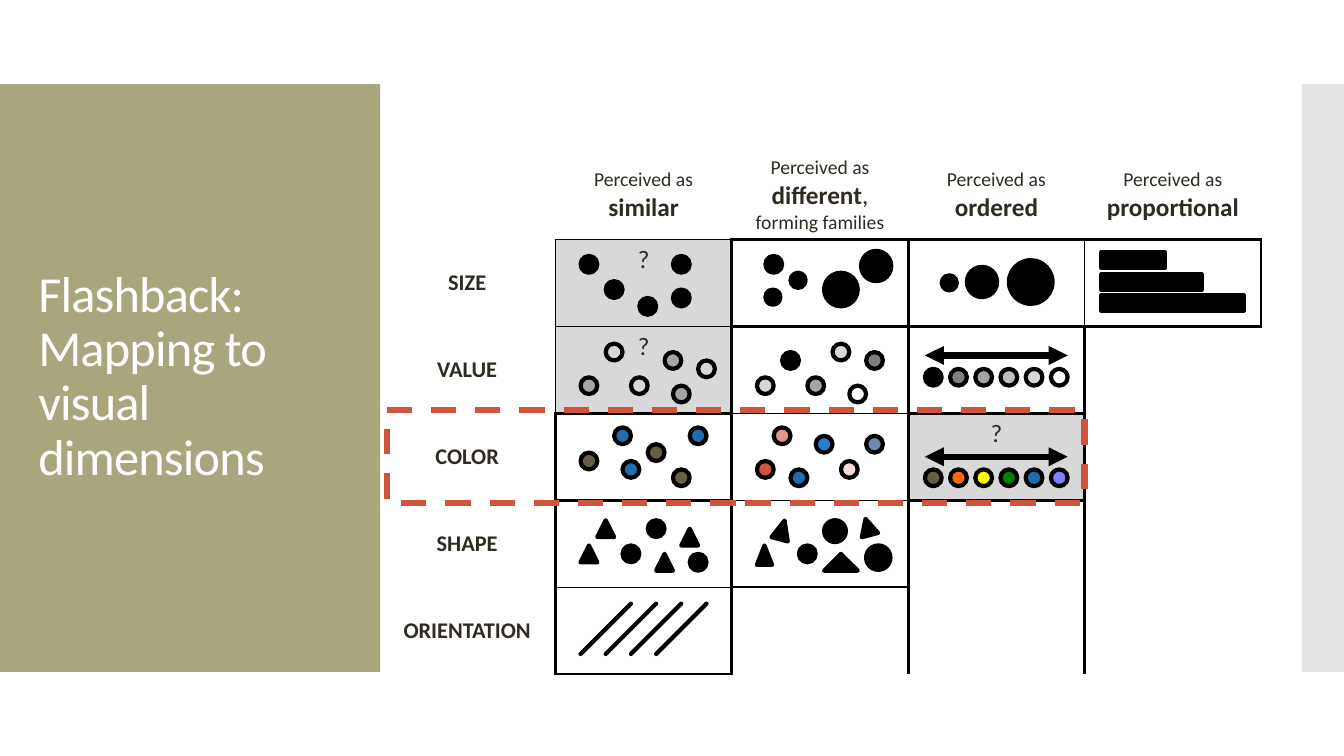
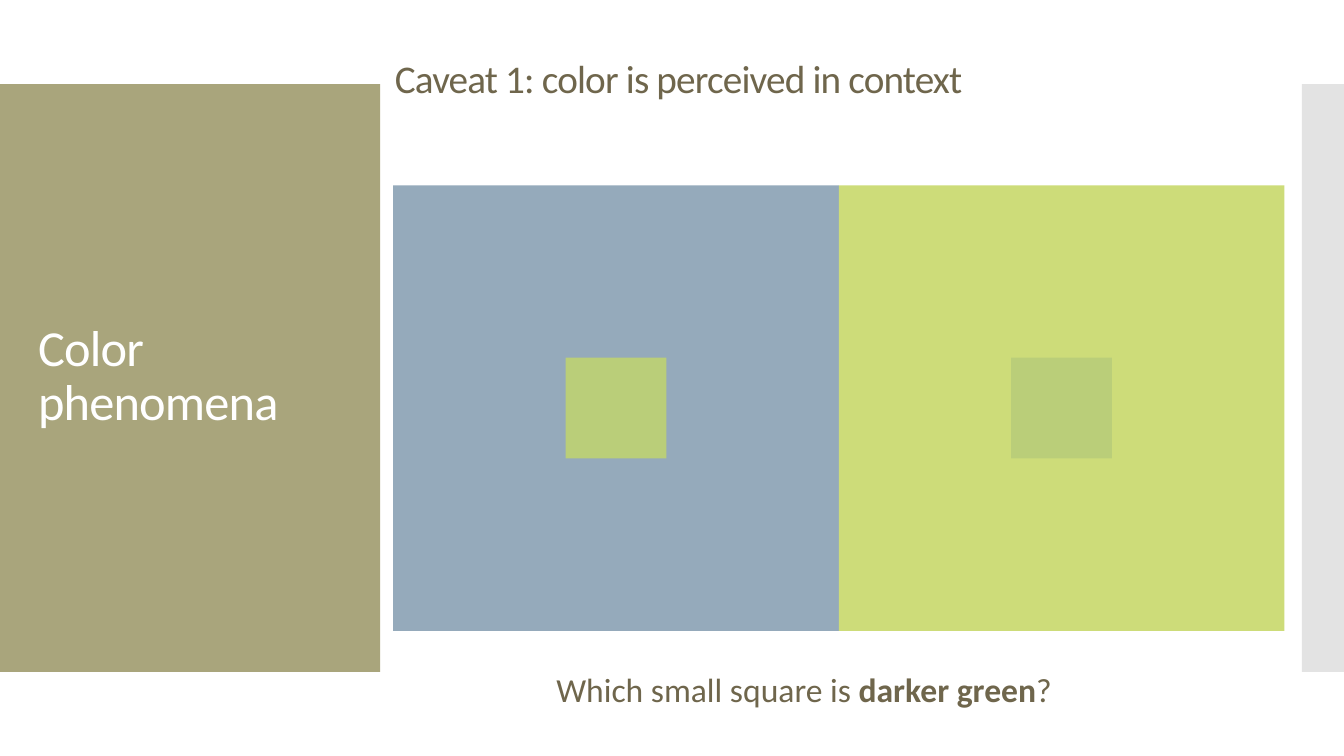
from lxml.etree import SubElement
from pptx import Presentation
from pptx.dml.color import RGBColor
from pptx.enum.dml import MSO_LINE
from pptx.enum.shapes import MSO_CONNECTOR, MSO_SHAPE
from pptx.enum.text import MSO_ANCHOR, MSO_AUTO_SIZE, PP_ALIGN
from pptx.oxml.ns import qn
from pptx.util import Cm, Pt

FONT = "Calibri"
WHITE = RGBColor(0xFF, 0xFF, 0xFF)
BLACK = RGBColor(0, 0, 0)
INK = RGBColor(0x2F, 0x2B, 0x20)
BROWN = RGBColor(0x6F, 0x66, 0x4C)
OLIVE = RGBColor(0xA9, 0xA5, 0x7C)
PALE = RGBColor(0xE3, 0xE3, 0xE3)
SHADE = RGBColor(0xD8, 0xD8, 0xD8)
MID = RGBColor(0xA5, 0xA5, 0xA5)
SILVER = RGBColor(0xBF, 0xBF, 0xBF)
GREY = RGBColor(0x7F, 0x7F, 0x7F)
RED = RGBColor(0xD2, 0x53, 0x3C)
PINK = RGBColor(0xE3, 0x96, 0x89)
BLUSH = RGBColor(0xF5, 0xDB, 0xD7)
BLUE = RGBColor(0x1E, 0x6D, 0xAE)
AZURE = RGBColor(0x23, 0x80, 0xCF)
STEEL = RGBColor(0x6A, 0x8B, 0xAE)
EARTH = RGBColor(0x67, 0x5E, 0x47)
ORANGE = RGBColor(0xFF, 0x66, 0x00)
YELLOW = RGBColor(0xFF, 0xFF, 0x00)
GREEN = RGBColor(0x00, 0x80, 0x00)
VIOLET = RGBColor(0x7F, 0x80, 0xFF)
SLATE = RGBColor(0x95, 0xAA, 0xBB)
LIME = RGBColor(0xCD, 0xDC, 0x79)
MOSS = RGBColor(0xBA, 0xCE, 0x79)

SIDE = (0.71, 3.12, 8.18, 12.78)
UNIT = 2.54 / 12
LEFT = 14.63
SIZE, VALUE, COLOR, SHAPE = 6.45, 8.66, 10.77, 13.11

HEADS = [
    [[("Perceived as ", 14, False), ("similar", 18, True)]],
    [[("Perceived as ", 14, False), ("different", 18, True), (",", 18, False)],
     [("forming families", 14, False)]],
    [[("Perceived as ", 14, False), ("ordered", 18, True)]],
    [[("Perceived as ", 14, False), ("proportional", 18, True)]],
]
NAMES = ["SIZE", "VALUE", "COLOR", "SHAPE", "ORIENTATION"]
DOUBTS = [(1, 1), (2, 1), (3, 3)]
WIDTHS = {"1": 1, "2": 2.25}
UPRIGHT = ["000000", "012211", "012220", "022220", "022220", "022220"]
FLAT = ["00000", "01222", "01222", "02120", "02120", "01200", "02000"]

DISCS = [
    (SIZE, [(0, 0, 2), (3, 3, 2), (7, 5, 2), (11, 0, 2), (11, 4, 2),
            (22, 0, 2), (22, 4, 1.8), (25, 2, 1.8), (29, 2, 4),
            (33.4, -0.6, 3.6), (43, 2.3, 1.8), (46, 1.3, 3.6), (51, 0.5, 5.2)]),
    (SHAPE, [(5, 3, 2), (8, 0, 2), (13, 4, 2), (26, 3, 2),
             (29, 0, 2.6), (34, 3, 2.9)]),
]
PEAKS = [(0, 3, 2, 2, 0), (2, 0, 2, 2, 0), (9, 4, 2, 2, 0), (12, 1, 2, 2, 0),
         (21, 3, 1.8, 2.3, 0), (23, 0, 2, 2.3, 15), (29, 4, 4, 2, 0),
         (33.2, -0.2, 2, 2, -15)]
BARS = [(-0.4, 7.6), (2.2, 12), (4.7, 17)]
RINGS = [
    (VALUE, [(0, 4, MID), (3, 0, SHADE), (6, 4, SHADE), (10, 1, MID),
             (11, 5, MID), (14, 2, SHADE), (21, 4, SHADE), (24, 1, BLACK),
             (27, 4, MID), (30, 0, SHADE), (32, 5, WHITE), (34, 1, GREY)]),
    (COLOR, [(0, 3, EARTH), (4, 0, BLUE), (5, 4, BLUE), (8, 2, EARTH),
             (11, 5, EARTH), (13, 0, BLUE), (21, 4, RED), (23, 0, PINK),
             (25, 5, BLUE), (28, 1, AZURE), (31, 4, BLUSH), (34, 1, STEEL)]),
]
SCALES = [
    (VALUE, 3, 1.4, [BLACK, GREY, MID, SILVER, SHADE, WHITE]),
    (COLOR, 5, 3.5, [EARTH, ORANGE, YELLOW, GREEN, BLUE, VIOLET]),
]


def place(box):
    return [Cm(n) for n in box]


def form(slide, kind, box, fill=None, line=None, width=3):
    item = slide.shapes.add_shape(kind, *place(box))
    item.shadow.inherit = False
    if fill is None:
        item.fill.background()
    else:
        item.fill.solid()
        item.fill.fore_color.rgb = fill
    if line is None:
        item.line.fill.background()
    else:
        item.line.color.rgb = line
        item.line.width = Pt(width)
    return item


def block(slide, box, fill):
    return form(slide, MSO_SHAPE.RECTANGLE, box, fill)


def mark(slide, kind, base, x, y, wide, high, fill=BLACK):
    box = (LEFT + x * UNIT, base + y * UNIT, wide * UNIT, high * UNIT)
    return form(slide, kind, box, fill, BLACK)


def stroke(slide, start, end, width, heads=False):
    line = slide.shapes.add_connector(
        MSO_CONNECTOR.STRAIGHT, *place(start + end))
    line.line.color.rgb = BLACK
    line.line.width = Pt(width)
    props = line.element.spPr
    pen = props.find(qn("a:ln"))
    if heads:
        for tag in ("a:headEnd", "a:tailEnd"):
            SubElement(pen, qn(tag), type="triangle")
    else:
        pen.set("cap", "rnd")
    SubElement(props, qn("a:effectLst"))


def style(font, size, color, bold=False):
    font.name = FONT
    font.size = Pt(size)
    font.bold = bold
    font.color.rgb = color


def write(para, runs, color, align=PP_ALIGN.CENTER):
    para.alignment = align
    if len(runs) == 1:
        text, size, bold = runs[0]
        para.text = text
        style(para.font, size, color, bold)
        return
    for text, size, bold in runs:
        run = para.add_run()
        run.text = text
        style(run.font, size, color, bold)


def label(item, box, text, size, color):
    item.left, item.top, item.width, item.height = place(box)
    frame = item.text_frame
    frame.word_wrap = True
    frame.auto_size = MSO_AUTO_SIZE.NONE
    frame.vertical_anchor = MSO_ANCHOR.MIDDLE
    para = frame.paragraphs[0]
    para.line_spacing = 0.9
    write(para, [(text, size, False)], color, PP_ALIGN.LEFT)
    for props in item.element.iter(qn("a:defRPr")):
        props.set("spc", "-60")


def side(item, text):
    label(item, SIDE, text, 36, WHITE)


def bands(slide):
    tree = slide.slide_layout.shapes.element
    for n, (x, wide, fill) in enumerate([(0, 9.58, OLIVE), (32.81, 1.06, PALE)]):
        band = block(slide, (x, 2.12, wide, 14.81), fill)
        band.element.nvSpPr.cNvPr.set("id", str(20 + n))
        tree.insert(2 + n, band.element)


def edge(cell, side, code):
    props = cell._tc.get_or_add_tcPr()
    line = SubElement(props, qn("a:ln" + side))
    if code == "0":
        SubElement(line, qn("a:noFill"))
        return
    line.set("w", str(Pt(WIDTHS[code])))
    paint = SubElement(line, qn("a:solidFill"))
    SubElement(paint, qn("a:srgbClr"), val=str(BLACK))


def grid(slide):
    frame = slide.shapes.add_table(6, 5, *place((9.55, 3.81, 22.23, 13.13)))
    table = frame.table
    table.first_row = table.horz_banding = False
    for r in range(6):
        for c in range(5):
            cell = table.cell(r, c)
            edge(cell, "L", UPRIGHT[r][c])
            edge(cell, "R", UPRIGHT[r][c + 1])
            edge(cell, "T", FLAT[r][c])
            edge(cell, "B", FLAT[r + 1][c])
            cell.fill.background()
            cell.vertical_anchor = MSO_ANCHOR.MIDDLE
    for c, paras in enumerate(HEADS, 1):
        text = table.cell(0, c).text_frame
        for n, runs in enumerate(paras):
            write(text.add_paragraph() if n else text.paragraphs[0], runs, INK)
    for r, name in enumerate(NAMES, 1):
        write(table.cell(r, 0).text_frame.paragraphs[0], [(name, 16, True)], INK)
    for spot in DOUBTS:
        cell = table.cell(*spot)
        cell.fill.solid()
        cell.fill.fore_color.rgb = SHADE
        cell.vertical_anchor = MSO_ANCHOR.TOP
        write(cell.text_frame.paragraphs[0], [("?", 18, False)], INK)
    table.cell(2, 4).merge(table.cell(5, 4))
    table.cell(4, 3).merge(table.cell(5, 3))


def signs(slide):
    for base, discs in DISCS:
        for x, y, size in discs:
            mark(slide, MSO_SHAPE.OVAL, base, x, y, size, size)
    for x, y, wide, high, turn in PEAKS:
        peak = mark(slide, MSO_SHAPE.ISOSCELES_TRIANGLE, SHAPE, x, y, wide, high)
        peak.rotation = turn
    for y, wide in BARS:
        mark(slide, MSO_SHAPE.RECTANGLE, SIZE, 62, y, wide, 1.8)
    for base, rings in RINGS:
        for x, y, fill in rings:
            mark(slide, MSO_SHAPE.OVAL, base, x, y, 2, 2, fill)
    for base, y, rise, fills in SCALES:
        for n, fill in enumerate(fills):
            mark(slide, MSO_SHAPE.OVAL, base, 41 + 3 * n, y, 2, 2, fill)
        high = base + rise * UNIT
        stroke(slide, (LEFT + 41 * UNIT, high), (LEFT + 58 * UNIT, high), 4.5, True)
    for n in range(4):
        x = LEFT + 3 * n * UNIT
        stroke(slide, (x, 16.48), (x + 6 * UNIT, 15.21), 3)


def mapping(slide):
    side(slide.shapes.title, "Flashback: Mapping to visual dimensions")
    grid(slide)
    signs(slide)
    frame = form(slide, MSO_SHAPE.RECTANGLE, (9.75, 10.34, 17.58, 2.34),
                 None, RED, 4.5)
    frame.line.dash_style = MSO_LINE.DASH


def context(slide):
    label(slide.shapes.title, (9.7, 0.66, 22.86, 2.74),
          "Caveat 1: color is perceived in context", 28, BROWN)
    big, small = 11.23, 2.54
    gap = (big - small) / 2
    for n, fill in enumerate([SLATE, LIME]):
        x, y = 9.91 + n * big, 4.67
        block(slide, (x, y, big, big), fill)
        block(slide, (x + gap, y + gap, small, small), MOSS)
    ask = slide.shapes.add_textbox(*place((13.77, 16.74, 14.73, 1.27)))
    ask.text_frame.word_wrap = True
    write(ask.text_frame.paragraphs[0],
          [("Which small square is ", 24, False), ("darker green", 24, True),
           ("?", 24, False)], BROWN, PP_ALIGN.LEFT)
    side(slide.shapes.add_textbox(*place(SIDE)), "Color phenomena")


def main():
    deck = Presentation()
    deck.slide_width, deck.slide_height = Cm(33.87), Cm(19.05)
    plan = deck.slide_layouts[5]
    first, second = [deck.slides.add_slide(plan) for _ in range(2)]
    bands(first)
    mapping(first)
    context(second)
    deck.save("out.pptx")


if __name__ == "__main__":
    main()
